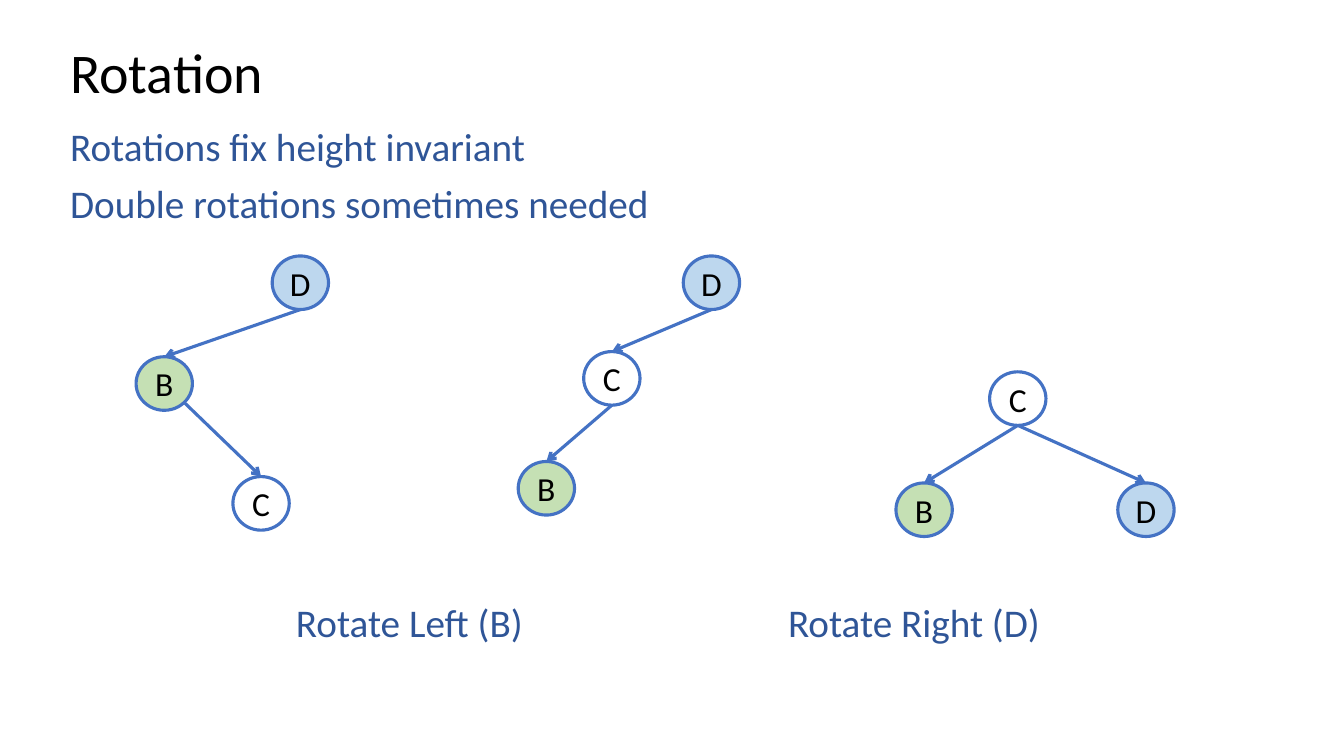
from math import sqrt

from lxml.etree import SubElement
from pptx import Presentation
from pptx.dml.color import RGBColor
from pptx.enum.shapes import MSO_CONNECTOR, MSO_SHAPE
from pptx.enum.text import MSO_ANCHOR, PP_ALIGN
from pptx.oxml.ns import qn
from pptx.util import Cm, Pt

COLORS = {
    "title": "000000",
    "body": "2F5597",
    "letter": "000000",
    "outline": "4472C4",
    "B": "C5E0B4",
    "D": "BDD7EE",
}
FONT = "Calibri"
NODE_WIDTH, NODE_HEIGHT = 1.42, 1.35
OUTLINE_WIDTH = Pt(2.25)
BOTTOM = (0.5, 1)
LOWER_RIGHT = (0.5 + sqrt(2) / 4,) * 2

HEADINGS = [
    (["Rotation"], (1.52, 1.02, 29.21, 1.75), 40, "title"),
    (["Rotations fix height invariant", "Double rotations sometimes needed"],
     (1.52, 3.1, 29.21, 2.46), 28, "body"),
    (["Rotate Left (B)"], (7.21, 15.09, 7.59, 1.75), 28, "body"),
    (["Rotate Right (D)"], (19.61, 15.09, 7.59, 1.75), 28, "body"),
]

TREES = [
    ((3.43, 6.45),
     {"D": (3.43, 0), "B": (0, 2.54), "C": (2.44, 5.56)},
     [("D", "B", BOTTOM), ("B", "C", LOWER_RIGHT)]),
    ((13.06, 6.45),
     {"D": (4.16, 0), "C": (1.65, 2.41), "B": (0, 5.18)},
     [("D", "C", BOTTOM), ("C", "B", BOTTOM)]),
    ((22.58, 9.37),
     {"C": (2.36, 0), "B": (0, 2.8), "D": (5.59, 2.8)},
     [("C", "B", BOTTOM), ("C", "D", BOTTOM)]),
]


def rgb(part):
    return RGBColor.from_string(COLORS[part])


def apply(target, values):
    for attribute, value in values.items():
        setattr(target, attribute, value)


def style_font(paragraph, size, color):
    apply(paragraph.font, {"name": FONT, "size": Pt(size)})
    paragraph.font.color.rgb = rgb(color)


def style_outline(line):
    line.color.rgb = rgb("outline")
    line.width = OUTLINE_WIDTH


def add_heading(slide, lines, box, size, color):
    frame = slide.shapes.add_textbox(*map(Cm, box)).text_frame
    frame.word_wrap = True
    for index, text in enumerate(lines):
        paragraph = frame.add_paragraph() if index else frame.paragraphs[0]
        apply(paragraph, {
            "text": text,
            "line_spacing": 0.9,
            "space_before": Pt(10 if index else 0),
        })
        style_font(paragraph, size, color)


def add_node(slide, letter, left, top):
    node = slide.shapes.add_shape(
        MSO_SHAPE.OVAL, Cm(left), Cm(top), Cm(NODE_WIDTH), Cm(NODE_HEIGHT))
    node.shadow.inherit = False
    if letter in COLORS:
        node.fill.solid()
        node.fill.fore_color.rgb = rgb(letter)
    else:
        node.fill.background()
    style_outline(node.line)
    apply(node.text_frame, {
        "margin_left": 0, "margin_top": 0, "margin_right": 0,
        "margin_bottom": 0, "vertical_anchor": MSO_ANCHOR.MIDDLE,
    })
    paragraph = node.text_frame.paragraphs[0]
    apply(paragraph, {"text": letter, "alignment": PP_ALIGN.CENTER})
    style_font(paragraph, 24, "letter")
    return node


def add_edge(slide, parent, child, exit_point):
    across, down = exit_point
    edge = slide.shapes.add_connector(
        MSO_CONNECTOR.STRAIGHT,
        parent.left + int(parent.width * across),
        parent.top + int(parent.height * down),
        child.left + child.width // 2,
        child.top)
    edge.end_connect(child, 0)
    style_outline(edge.line)
    SubElement(edge.line._get_or_add_ln(), qn("a:tailEnd"), type="arrow")
    SubElement(edge._element.spPr, qn("a:effectLst"))


def add_tree(slide, origin, offsets, edges):
    left, top = origin
    nodes = {letter: add_node(slide, letter, left + x, top + y)
             for letter, (x, y) in offsets.items()}
    for parent, child, exit_point in edges:
        add_edge(slide, nodes[parent], nodes[child], exit_point)


def main():
    presentation = Presentation()
    apply(presentation, {"slide_width": Cm(33.87), "slide_height": Cm(19.05)})
    slide = presentation.slides.add_slide(presentation.slide_layouts[6])
    for heading in HEADINGS:
        add_heading(slide, *heading)
    for tree in TREES:
        add_tree(slide, *tree)
    presentation.save("out.pptx")


if __name__ == "__main__":
    main()
